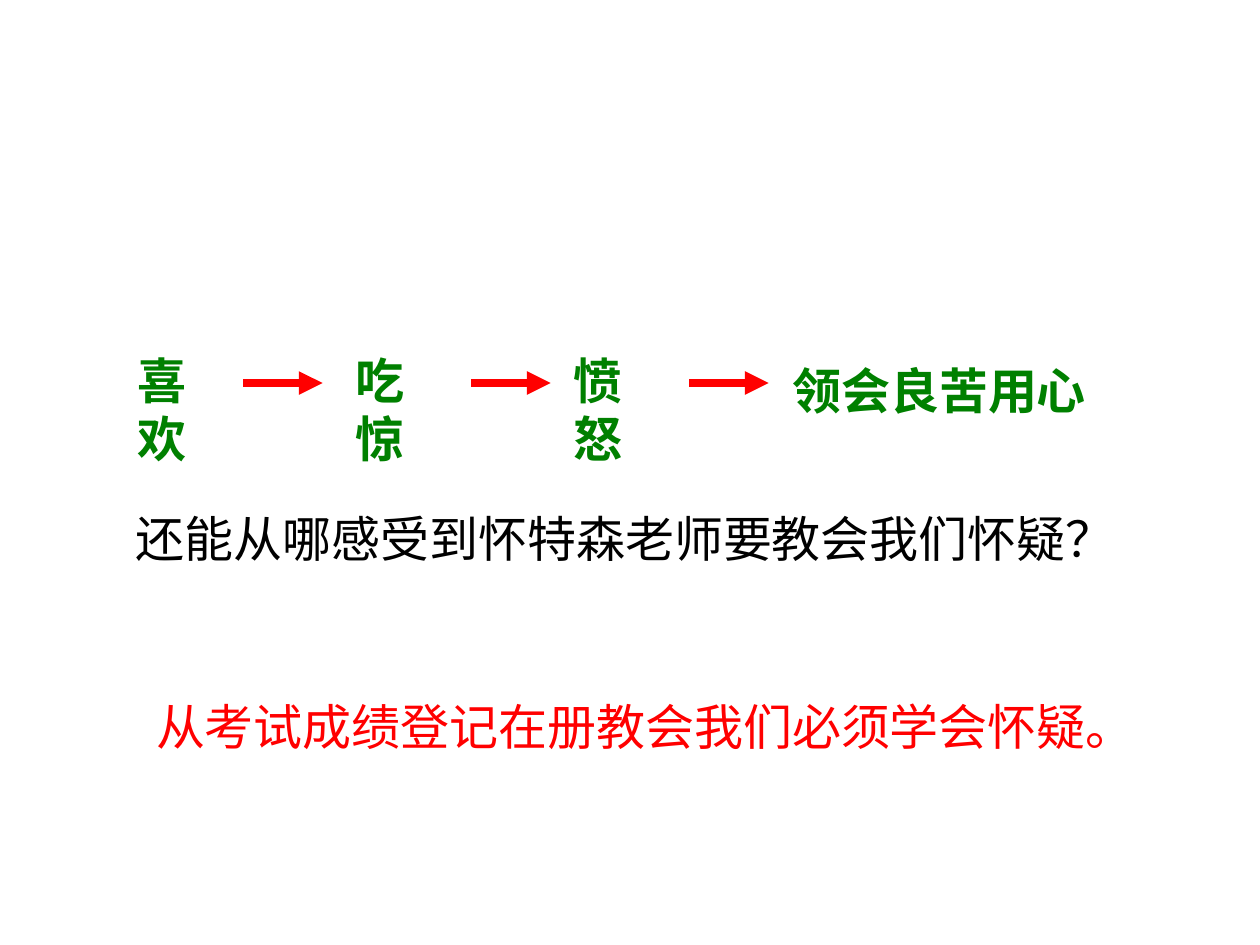
from dataclasses import dataclass

from lxml import etree
from pptx import Presentation
from pptx.dml.color import RGBColor
from pptx.enum.shapes import MSO_CONNECTOR
from pptx.enum.text import MSO_AUTO_SIZE
from pptx.oxml.ns import qn
from pptx.util import Inches, Pt

STRAIGHT = MSO_CONNECTOR.STRAIGHT
FIT_SHAPE = MSO_AUTO_SIZE.SHAPE_TO_FIT_TEXT


@dataclass(frozen=True)
class Theme:
    question: RGBColor = RGBColor(0x00, 0x00, 0x00)
    answer: RGBColor = RGBColor(0xFF, 0x00, 0x00)
    feeling: RGBColor = RGBColor(0x00, 0x80, 0x00)
    arrow: RGBColor = RGBColor(0xFF, 0x00, 0x00)
    latin_font: str = "Arial"
    chinese_font: str = "Noto Sans CJK SC"
    text_size: Pt = Pt(28)
    arrow_width: Pt = Pt(4.5)


class SlideBuilder:
    def __init__(self, slide, theme):
        self.slide = slide
        self.theme = theme

    def text(self, words, left, top, width, color, font, bold=False, wrap=True):
        box = self.slide.shapes.add_textbox(
            Inches(left), Inches(top), Inches(width), Inches(0.57))
        frame = box.text_frame
        frame.word_wrap = wrap
        frame.auto_size = FIT_SHAPE
        frame.text = words
        run = frame.paragraphs[0].runs[0]
        run.font.name = font
        run.font.size = self.theme.text_size
        run.font.bold = bold
        run.font.color.rgb = color
        # East Asian typeface
        east_asian = etree.SubElement(run.font._element, qn("a:ea"))
        east_asian.set("typeface", self.theme.chinese_font)

    def sentence(self, words, left, top, width, color):
        self.text(words, left, top, width, color, self.theme.latin_font)

    def feeling(self, words, left, top, width):
        self.text(words, left, top, width, self.theme.feeling,
                  self.theme.chinese_font, bold=True, wrap=False)

    def arrow(self, left, y, length):
        line = self.slide.shapes.add_connector(
            STRAIGHT, Inches(left), Inches(y), Inches(left + length), Inches(y))
        line.line.color.rgb = self.theme.arrow
        line.line.width = self.theme.arrow_width
        head = etree.SubElement(line.line._get_or_add_ln(), qn("a:tailEnd"))
        head.set("type", "triangle")
        etree.SubElement(line._element.spPr, qn("a:effectLst"))


def main():
    prs = Presentation()
    prs.slide_width, prs.slide_height = Inches(10), Inches(7.5)
    theme = Theme()
    builder = SlideBuilder(prs.slides.add_slide(prs.slide_layouts[6]), theme)

    # Question and answer
    builder.sentence("还能从哪感受到怀特森老师要教会我们怀疑？",
                     0.98, 3.99, 8.15, theme.question)
    builder.sentence("从考试成绩登记在册教会我们必须学会怀疑。",
                     1.14, 5.48, 8.5, theme.answer)

    # Chain of feelings, evenly spaced
    first_left, step = 0.99, 1.73
    for index, feeling in enumerate(("喜欢", "吃惊", "愤怒")):
        builder.feeling(feeling, first_left + index * step, 2.73, 0.97)
    builder.feeling("领会良苦用心", 6.19, 2.81, 2.53)

    # Arrows between the feelings
    for left in (1.93, 3.74, 5.47):
        builder.arrow(left, 3.04, 0.63)

    prs.save("out.pptx")


if __name__ == "__main__":
    main()
